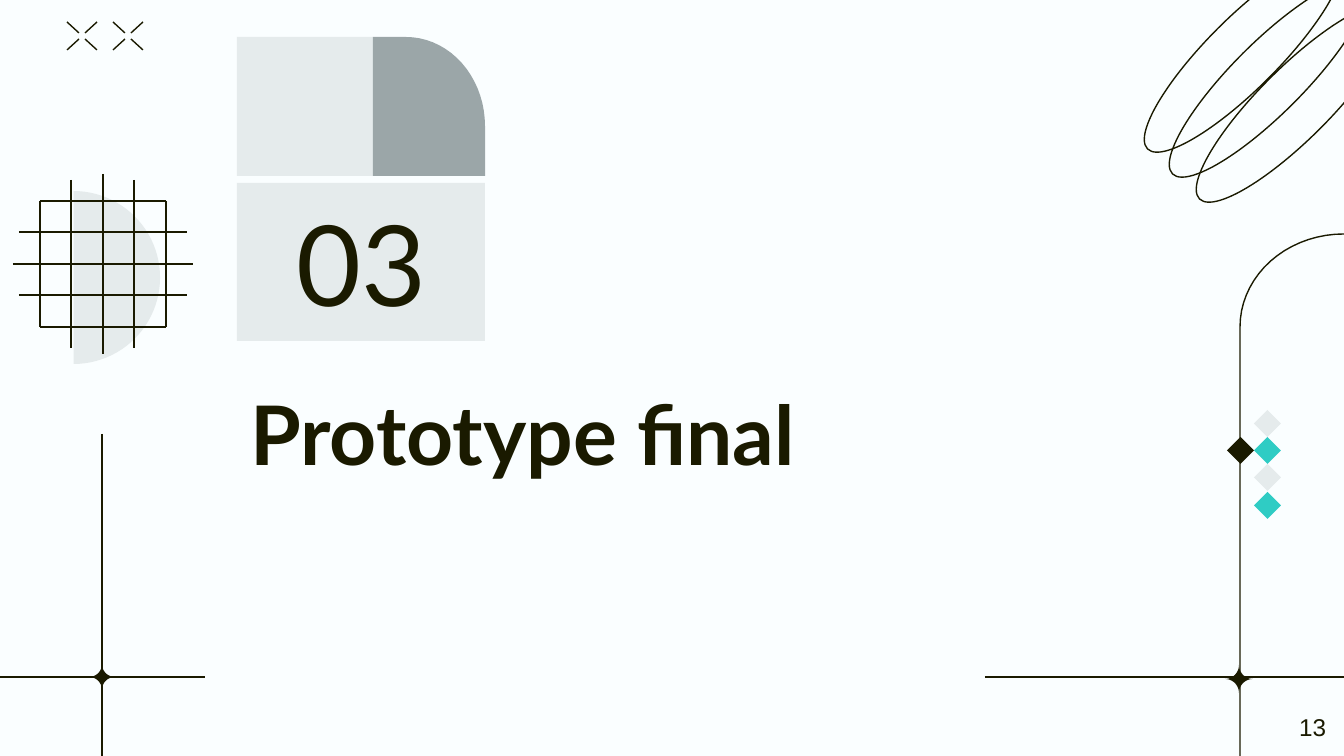
from math import cos, radians, sin

from lxml.etree import SubElement
from pptx import Presentation
from pptx.dml.color import RGBColor
from pptx.enum.shapes import MSO_CONNECTOR, MSO_SHAPE
from pptx.enum.text import MSO_ANCHOR, MSO_AUTO_SIZE, PP_ALIGN
from pptx.oxml.ns import qn
from pptx.util import Emu, Pt

SCALE = 9144000 / 1344  # EMU per px
INK, PALE, GRAY, TEAL, PAPER = "1A1A00", "E5EBEC", "9BA6A8", "2FCCC4", "FAFEFF"
color = RGBColor.from_string


def px(*lengths):
    return [Emu(round(length * SCALE)) for length in lengths]


def quarter(x, y, width, height, start):
    """Points of a quarter ellipse around (x, y), clockwise from start degrees."""
    angles = [radians(start + step * 5) for step in range(19)]
    return [(x + width * cos(a), y + height * sin(a)) for a in angles]


presentation = Presentation()
presentation.slide_width, presentation.slide_height = px(1344, 756)
slide = presentation.slides.add_slide(presentation.slide_layouts[0])
slide.background.fill.solid()
slide.background.fill.fore_color.rgb = color(PAPER)
shapes = slide.shapes

# Preset shapes: left, top, width, height, rotation, fill (None for outline)
presets = [
    (MSO_SHAPE.OVAL, x - 135, y - 36, 270, 71, 315, None)
    for x, y in [(1243, 54), (1268, 79), (1295, 104)]
]
presets += [
    (MSO_SHAPE.DIAMOND, x - 13, y - 13, 27, 27, 0, fill)
    for x, y, fill in [(1267, 423, PALE), (1267, 450, TEAL), (1240, 450, INK),
                       (1267, 477, PALE), (1267, 505, TEAL)]
]
presets += [
    (MSO_SHAPE.RECTANGLE, 237, 37, 136, 139, 0, PALE),
    (MSO_SHAPE.CHORD, -13, 191, 173, 173, 180, PALE),
]
drawn = []
for kind, left, top, width, height, rotation, fill in presets:
    shape = shapes.add_shape(kind, *px(left, top, width, height))
    shape.rotation = rotation
    drawn.append((shape, fill))
# Half disc behind the grid: the chord's angles in degrees times 0.6
shape.adjustments[0], shape.adjustments[1] = 54, 162

# Curved outlines: arch, rounded block and the two sparkles
outlines = [
    ([(1240, 756)] + quarter(1344, 327, 104, 93, 180), False, None),
    ([(373, 176), (373, 37)] + quarter(406, 126, 79, 89, 270) + [(485, 176)], True, GRAY),
]
for x, y, size in [(102, 677, 13), (1239, 679, 14)]:
    points = []
    for dx, dy, start in [(-1, -1, 0), (-1, 1, 270), (1, 1, 180), (1, -1, 90)]:
        # Each inward curve is centred on a corner and runs counter-clockwise
        curve = quarter(x + dx * size, y + dy * size, size, size, start)
        points += curve[::-1] if start in (0, 270, 180, 90) else curve
        if dx == dy:
            points.append((x + dx * (size + 0), y))
    points = []
    for dx, dy, start in [(-1, -1, 0), (-1, 1, 270), (1, 1, 180), (1, -1, 90)]:
        points += quarter(x + dx * size, y + dy * size, size, size, start)[::-1]
    outlines.append((points, True, INK))
for points, closed, fill in outlines:
    points = [px(*point) for point in points]
    builder = shapes.build_freeform(*points[0], scale=1.0)
    builder.add_line_segments(points[1:], close=closed)
    drawn.append((builder.convert_to_shape(), fill))

for shape, fill in drawn:
    shape.shadow.inherit = False
    if fill:
        shape.fill.solid()
        shape.fill.fore_color.rgb = color(fill)
        shape.line.fill.background()
    else:
        shape.fill.background()
        shape.line.color.rgb = color(INK)
        shape.line.width = Pt(0.75)

# Straight lines: axes, crosses and grid
lines = [(102, 434, 102, 756), (0, 677, 205, 677), (985, 677, 1344, 677)]
for x in (82, 128):
    for dx in (-1, 1):
        for dy in (-1, 1):
            lines.append((x + 3 * dx, 36 + 3 * dy, x + 15 * dx, 36 + 14 * dy))
for step, half in zip(range(-2, 3), (63, 84, 90, 84, 63)):
    offset = step * 63 // 2
    lines.append((103 + offset, 264 - half, 103 + offset, 264 + half))
    lines.append((103 - half, 264 + offset, 103 + half, 264 + offset))
for ends in lines:
    line = shapes.add_connector(MSO_CONNECTOR.STRAIGHT, *px(*ends))
    line.line.color.rgb = color(INK)
    line.line.width = Pt(0.75)
    SubElement(line._element.spPr, qn("a:effectLst"))

# Title, section number and page number
title, section_number = slide.placeholders
section_number.fill.solid()
section_number.fill.fore_color.rgb = color(PALE)
page_number = shapes.add_textbox(*px(1258, 698, 81, 58))
texts = [
    (title, "Prototype final", (237, 370, 879, 291), MSO_ANCHOR.TOP, PP_ALIGN.LEFT,
     {"name": "Lato", "size": Pt(44), "bold": True}),
    (section_number, "03", (237, 183, 248, 158), MSO_ANCHOR.MIDDLE, PP_ALIGN.CENTER,
     {"name": "Lato", "size": Pt(60), "bold": False}),
    (page_number, "13", (1258, 698, 81, 58), MSO_ANCHOR.MIDDLE, PP_ALIGN.RIGHT,
     {"name": "Arial", "size": Pt(13), "bold": False}),
]
for shape, text, box, anchor, alignment, font_format in texts:
    shape.left, shape.top, shape.width, shape.height = px(*box)
    frame = shape.text_frame
    frame.text = text
    inset = px(13)[0]
    frame_format = {"word_wrap": True, "auto_size": MSO_AUTO_SIZE.NONE,
                    "vertical_anchor": anchor, "margin_left": inset, "margin_right": inset,
                    "margin_top": inset, "margin_bottom": inset}
    for name, value in frame_format.items():
        setattr(frame, name, value)
    paragraph = frame.paragraphs[0]
    paragraph.alignment = alignment
    paragraph.space_before = Pt(0)
    font = paragraph.runs[0].font
    for name, value in font_format.items():
        setattr(font, name, value)
    font.color.rgb = color(INK)

presentation.save("out.pptx")
